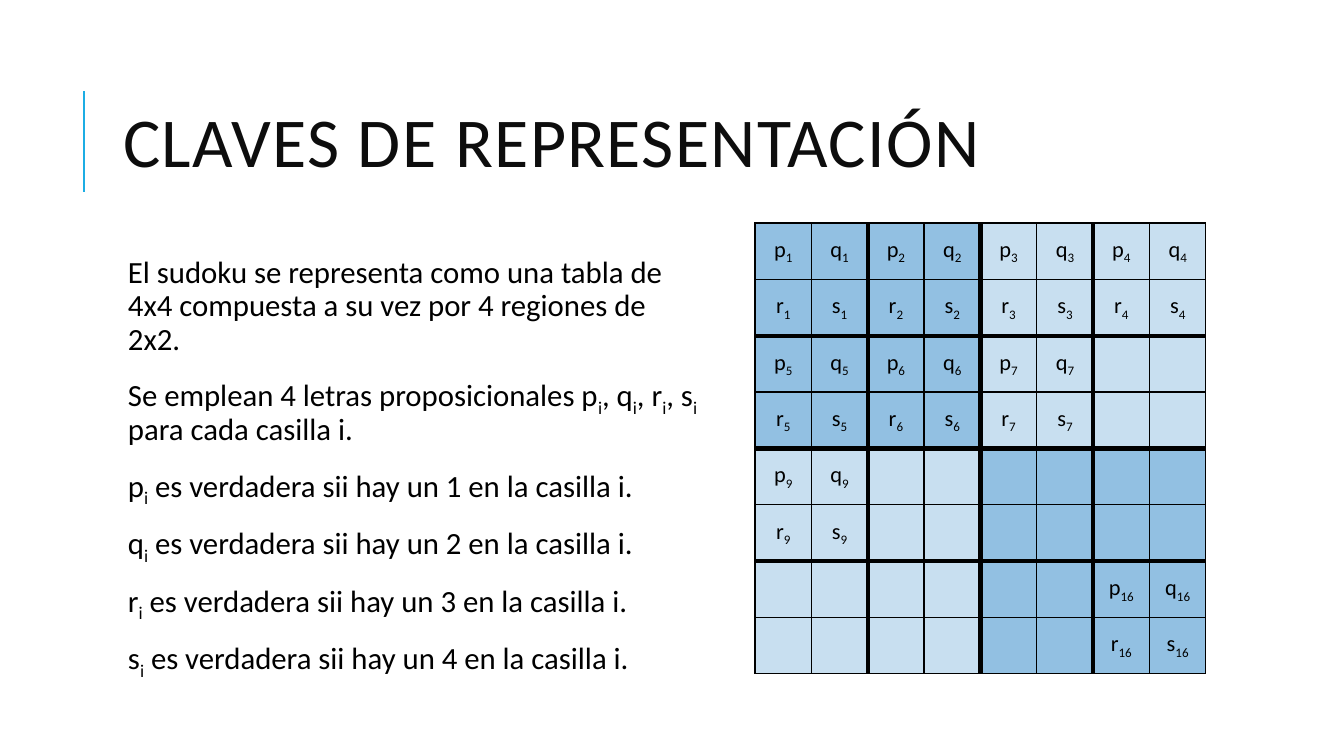
import pptx
import pptx.dml.color
import pptx.enum.dml
import pptx.enum.shapes
import pptx.enum.text
import pptx.oxml
import pptx.oxml.ns
import pptx.util
import lxml.etree

SCALE = 914400 / 100.8
BLACK = pptx.dml.color.RGBColor(0x00, 0x00, 0x00)
INK = pptx.dml.color.RGBColor(0x0D, 0x0D, 0x0D)
CYAN = pptx.dml.color.RGBColor(0x1C, 0xAD, 0xE4)
BLUE = pptx.dml.color.RGBColor(0x26, 0x83, 0xC6)

TITLE = "CLAVES DE REPRESENTACIÓN"
LINES = [
    "El sudoku se representa como una tabla de 4x4 compuesta a su vez por 4 regiones de 2x2.",
    "Se emplean 4 letras proposicionales p_i_, q_i_, r_i_, s_i_ para cada casilla i.",
] + [
    f"{name}_i_ es verdadera sii hay un {num} en la casilla i."
    for num, name in enumerate("pqrs", 1)
]
SHOWN = {1, 2, 3, 4, 5, 6, 7, 9, 16}
SIZE = 8


def px(num):
    return pptx.util.Emu(round(num * SCALE))


def add_node(root, tag, **attrs):
    node = lxml.etree.SubElement(root, pptx.oxml.ns.qn(tag))
    for key, val in attrs.items():
        node.set(key, str(val))
    return node


def place(shape, left, top, width, height):
    shape.left, shape.top = px(left), px(top)
    shape.width, shape.height = px(width), px(height)


def set_font(para, size, color):
    para.font.name = "Calibri"
    para.font.size = pptx.util.Pt(size)
    para.font.color.rgb = color


def add_text(para, text):
    for pos, part in enumerate(text.split("_")):
        if part:
            run = para.add_run()
            run.text = part
            if pos % 2:
                run.font._element.set("baseline", "-25000")


def add_rule(slide):
    rule = slide.shapes.add_connector(
        pptx.enum.shapes.MSO_CONNECTOR.STRAIGHT, px(84), px(192), px(84), px(91))
    rule.line.color.rgb = CYAN
    rule.line.width = pptx.util.Pt(1.5)
    add_node(rule._element.spPr, "a:effectLst")


def fill_title(shape):
    place(shape, 113, 65, 1072, 165)
    frame = shape.text_frame
    frame.auto_size = pptx.enum.text.MSO_AUTO_SIZE.NONE
    frame.vertical_anchor = pptx.enum.text.MSO_ANCHOR.MIDDLE
    para = frame.paragraphs[0]
    para.alignment = pptx.enum.text.PP_ALIGN.LEFT
    para.line_spacing = 0.8
    set_font(para, 50, INK)
    para.font._element.set("spc", "100")
    add_text(para, TITLE)


def set_bullet(para):
    props = para._p.get_or_add_pPr()
    props.set("marL", str(px(10)))
    props.set("indent", str(-px(10)))
    color = add_node(props, "a:buClr")
    add_node(color, "a:srgbClr", val=CYAN)
    add_node(props, "a:buChar", char=" ")


def fill_body(shape):
    place(shape, 113, 252, 595, 444)
    frame = shape.text_frame
    frame.auto_size = pptx.enum.text.MSO_AUTO_SIZE.NONE
    frame.margin_left = frame.margin_right = px(5)
    frame.margin_top = frame.margin_bottom = px(5)
    for pos, line in enumerate(LINES):
        para = frame.add_paragraph() if pos else frame.paragraphs[0]
        para.line_spacing = 0.9
        para.space_before = pptx.util.Pt(12)
        para.space_after = pptx.util.Pt(2)
        set_bullet(para)
        set_font(para, 22, BLACK)
        add_text(para, line)


def get_width(edge):
    if edge == SIZE // 2:
        return 4.5
    return 3 if edge % 2 == 0 and 0 < edge < SIZE else 1


def set_edges(cell, row, col):
    props = cell._tc.get_or_add_tcPr()
    edges = {"a:lnL": col, "a:lnR": col + 1, "a:lnT": row, "a:lnB": row + 1}
    for tag, edge in edges.items():
        line = add_node(props, tag, w=pptx.util.Pt(get_width(edge)))
        add_node(add_node(line, "a:solidFill"), "a:srgbClr", val=BLACK)


def set_fill(cell, alpha):
    cell.fill.solid()
    cell.fill.fore_color.rgb = BLUE
    color = cell._tc.tcPr.find(".//" + pptx.oxml.ns.qn("a:solidFill") + "[last()]")
    color = cell._tc.tcPr.find(pptx.oxml.ns.qn("a:solidFill"))[0]
    add_node(color, "a:alpha", val=alpha * 1000)


def set_label(cell, row, col):
    num = row // 2 * 4 + col // 2 + 1
    if num not in SHOWN:
        return
    name = "pqrs"[row % 2 * 2 + col % 2]
    cell.vertical_anchor = pptx.enum.text.MSO_ANCHOR.MIDDLE
    cell.margin_left = cell.margin_right = px(12)
    cell.margin_top = cell.margin_bottom = 0
    para = cell.text_frame.paragraphs[0]
    para.alignment = pptx.enum.text.PP_ALIGN.CENTER
    set_font(para, 16, BLACK)
    add_text(para, f"{name}_{num}_")


def add_grid(slide):
    grid = slide.shapes.add_table(
        SIZE, SIZE, px(755), px(223), px(451), px(451)).table
    grid.first_row = grid.horz_banding = False
    for row in range(SIZE):
        for col in range(SIZE):
            cell = grid.cell(row, col)
            set_label(cell, row, col)
            set_edges(cell, row, col)
            set_fill(cell, 50 if row // 4 == col // 4 else 25)


def main():
    deck = pptx.Presentation()
    deck.slide_width, deck.slide_height = px(1344), px(756)
    slide = deck.slides.add_slide(deck.slide_layouts[1])
    add_rule(slide)
    fill_title(slide.shapes.title)
    fill_body(slide.placeholders[1])
    add_grid(slide)
    deck.save("out.pptx")


main()
